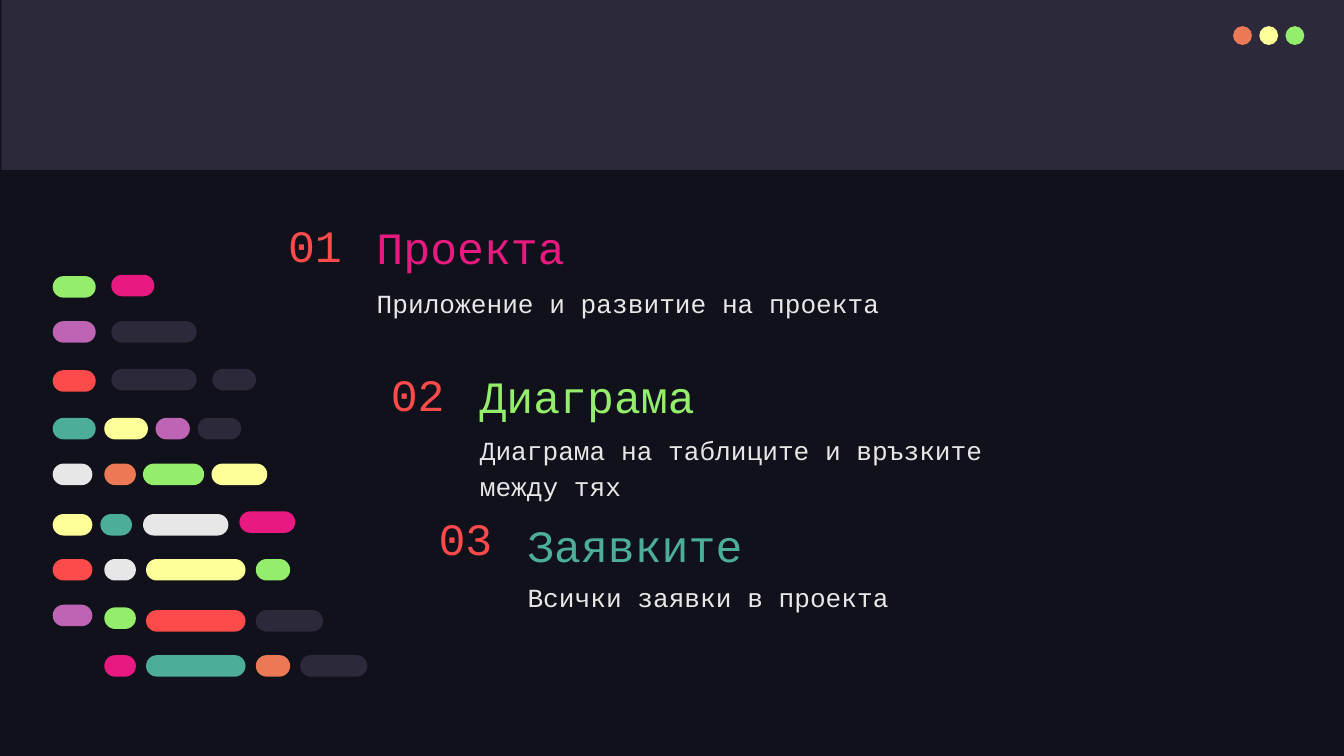
from dataclasses import dataclass

from lxml.etree import SubElement
from pptx import Presentation
from pptx.dml.color import RGBColor
from pptx.enum.shapes import MSO_SHAPE
from pptx.enum.text import MSO_ANCHOR, MSO_AUTO_SIZE, PP_ALIGN
from pptx.oxml.ns import qn
from pptx.util import Inches, Pt

SLIDE_WIDTH = Inches(10)
SLIDE_HEIGHT = SLIDE_WIDTH * 9 // 16
CELL = SLIDE_WIDTH / 100  # square grid cell, 100 columns across the slide
COMPARISON_LAYOUT = 4


@dataclass(frozen=True)
class Theme:
    night: str = "10111A"
    slate: str = "2C293A"
    orange: str = "EC7955"
    yellow: str = "FFFF99"
    green: str = "94EE6B"
    pink: str = "E81A81"
    purple: str = "BD64B5"
    red: str = "FD4A4A"
    teal: str = "4CAE97"
    light: str = "E7E7E7"
    font: str = "Courier New"
    heading_size: int = 24
    text_size: int = 14
    line_spacing: float = 1.15


THEME = Theme()


@dataclass(frozen=True)
class Box:
    """A rectangle measured in grid cells."""
    left: float
    top: float
    width: float
    height: float

    def inside(self, left, top, width, height):
        return Box(self.left + left, self.top + top, width, height)

    def lengths(self):
        return [round(n * CELL) for n in (self.left, self.top, self.width, self.height)]


BAND = Box(0.1, 0, 100, 12.65)
LIGHTS = Box(91.75, 1.95, 5.3, 1.4)
CODE = Box(3.92, 20.45, 23.4, 29.9)
PILL_HEIGHT = 1.6

# Each row: top, then pills as (left, width, colour, optional drop below the top)
CODE_ROWS = [
    (0, [(0, 3.2, THEME.green, 0.1), (4.36, 3.2, THEME.pink)]),
    (3.45, [(0, 3.2, THEME.purple), (4.36, 6.35, THEME.slate)]),
    (7, [(0, 3.2, THEME.red, 0.1), (4.36, 6.35, THEME.slate), (11.88, 3.25, THEME.slate)]),
    (10.65, [(0, 3.2, THEME.teal), (3.84, 3.25, THEME.yellow),
             (7.66, 2.55, THEME.purple), (10.78, 3.25, THEME.slate)]),
    (14.05, [(0, 2.95, THEME.light), (3.84, 2.35, THEME.orange),
             (6.72, 4.55, THEME.green), (11.82, 4.15, THEME.yellow)]),
    (17.6, [(0, 2.95, THEME.yellow, 0.2), (3.55, 2.35, THEME.teal, 0.2),
            (6.72, 6.35, THEME.light, 0.2), (13.9, 4.15, THEME.pink)]),
    (21.15, [(0, 2.95, THEME.red), (3.84, 2.35, THEME.light),
             (6.95, 7.4, THEME.yellow), (15.12, 2.55, THEME.green)]),
    (24.55, [(0, 2.95, THEME.purple), (3.84, 2.35, THEME.green, 0.2),
             (6.95, 7.4, THEME.red, 0.4), (15.12, 5, THEME.slate, 0.4)]),
    (28.3, [(3.84, 2.35, THEME.pink), (6.95, 7.4, THEME.teal),
            (15.12, 2.55, THEME.orange), (18.42, 5, THEME.slate)]),
]

# Each topic: box, number height, text top, heading colour, heading, text
TOPICS = [
    (Box(20.43, 16.05, 52.6, 10.25), 4.3, 3.98, THEME.pink,
     "Проекта", "Приложение и развитие на проекта"),
    (Box(28.1, 27.13, 52.6, 10.2), 4.3, 3.87, THEME.green,
     "Диаграма", "Диаграма на таблиците и връзките между тях"),
    (Box(31.65, 38.22, 52.6, 10), 3.6, 3.7, THEME.teal,
     "Заявките", "Всички заявки в проекта"),
]


def add_filled(shapes, kind, box, color):
    shape = shapes.add_shape(kind, *box.lengths())
    shape.shadow.inherit = False
    shape.fill.solid()
    shape.fill.fore_color.rgb = RGBColor.from_string(color)
    shape.line.fill.background()
    return shape


def write(shape, box, text, size, color, anchor, spacing=1.0):
    shape.left, shape.top, shape.width, shape.height = box.lengths()
    frame = shape.text_frame
    frame.word_wrap = True
    frame.auto_size = MSO_AUTO_SIZE.NONE
    frame.vertical_anchor = anchor
    frame.margin_left = frame.margin_right = Inches(0.1)
    frame.margin_top = frame.margin_bottom = Inches(0.1)
    para = frame.paragraphs[0]
    para.alignment = PP_ALIGN.LEFT
    para.line_spacing = spacing
    para.space_before = para.space_after = Pt(0)
    properties = para._p.get_or_add_pPr()
    properties.set("marL", "0")
    properties.set("indent", "0")
    SubElement(properties, qn("a:buNone"))
    span = para.add_run()
    span.text = text
    span.font.name = THEME.font
    span.font.size = Pt(size)
    span.font.bold = False
    span.font.color.rgb = RGBColor.from_string(color)


def add_window_bar(page, band, lights):
    add_filled(page.shapes, MSO_SHAPE.RECTANGLE, band, THEME.slate)
    group = page.shapes.add_group_shape()
    step = (lights.width - lights.height) / 2
    for index, color in enumerate((THEME.orange, THEME.yellow, THEME.green)):
        dot = lights.inside(index * step, 0, lights.height, lights.height)
        add_filled(group.shapes, MSO_SHAPE.OVAL, dot, color)


def add_code_lines(page, box):
    group = page.shapes.add_group_shape()
    for top, pills in CODE_ROWS:
        for left, width, color, *drop in pills:
            place = box.inside(left, top + sum(drop), width, PILL_HEIGHT)
            pill = add_filled(group.shapes, MSO_SHAPE.ROUNDED_RECTANGLE, place, color)
            pill.adjustments[0] = 0.5


def add_topic(page, box, number, number_shape, body, topic):
    number_height, text_top, color, heading, text = topic
    indent = 6.6
    width = box.width - indent
    write(number_shape, box.inside(0, 0, indent, number_height), f"{number:02}",
          THEME.heading_size, THEME.red, MSO_ANCHOR.MIDDLE)
    heading_box = box.inside(indent, 0, width, 5.3)
    write(page.shapes.add_textbox(*heading_box.lengths()), heading_box, heading,
          THEME.heading_size, color, MSO_ANCHOR.BOTTOM, THEME.line_spacing)
    write(body, box.inside(indent, text_top, width, box.height - text_top), text,
          THEME.text_size, THEME.light, MSO_ANCHOR.TOP, THEME.line_spacing)


def main():
    deck = Presentation()
    deck.slide_width, deck.slide_height = SLIDE_WIDTH, SLIDE_HEIGHT
    page = deck.slides.add_slide(deck.slide_layouts[COMPARISON_LAYOUT])
    page.background.fill.solid()
    page.background.fill.fore_color.rgb = RGBColor.from_string(THEME.night)

    title, *bodies = page.placeholders
    for spare in bodies[len(TOPICS):]:
        spare.element.getparent().remove(spare.element)

    add_window_bar(page, BAND, LIGHTS)
    add_code_lines(page, CODE)
    for number, (box, *topic) in enumerate(TOPICS, start=1):
        number_shape = title if number == 1 else page.shapes.add_textbox(*box.lengths())
        add_topic(page, box, number, number_shape, bodies[number - 1], topic)
    deck.save("out.pptx")


if __name__ == "__main__":
    main()
